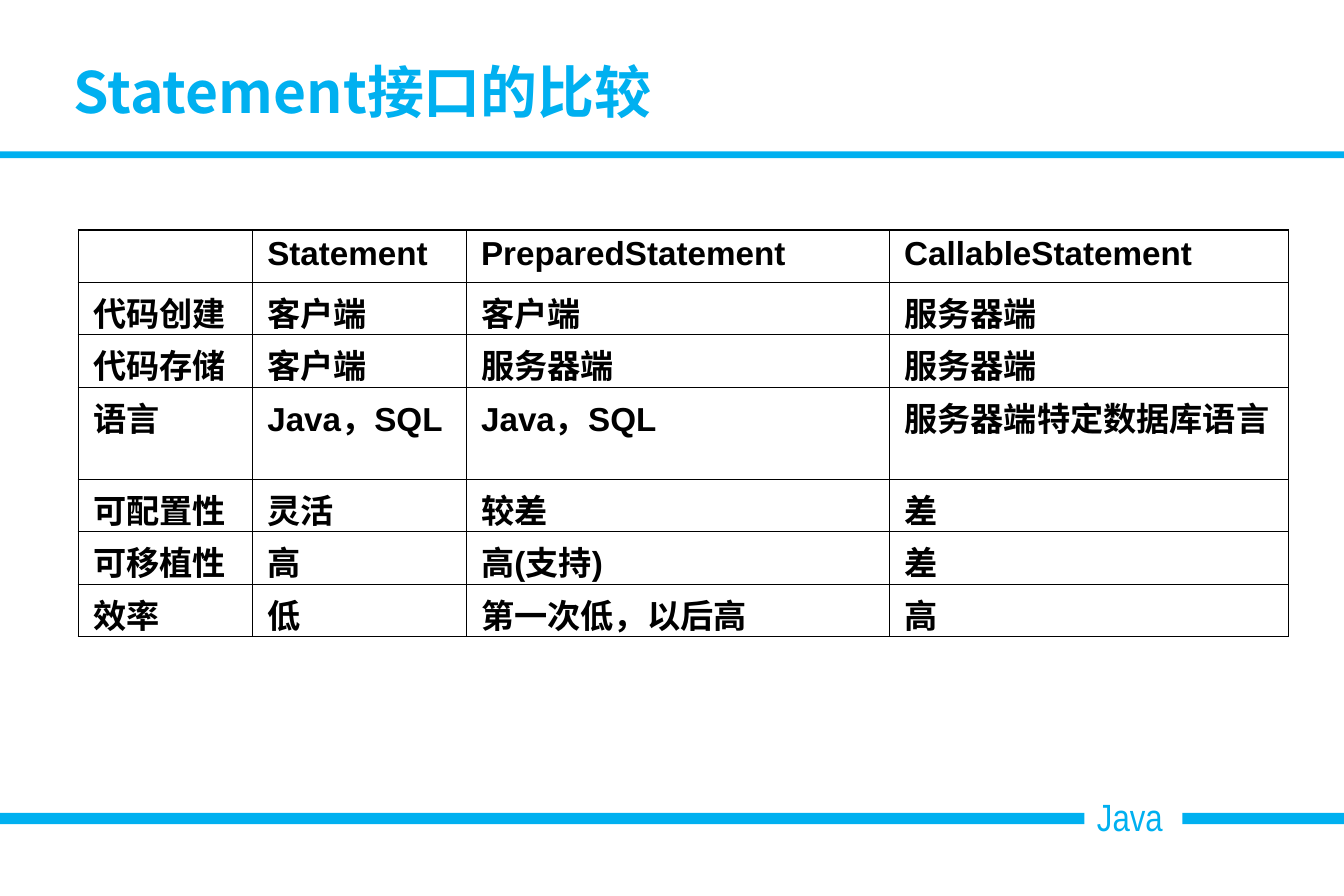
from dataclasses import dataclass

from lxml import etree
from pptx import Presentation
from pptx.dml.color import RGBColor
from pptx.enum.shapes import MSO_SHAPE
from pptx.enum.text import MSO_ANCHOR, MSO_AUTO_SIZE, PP_ALIGN
from pptx.oxml.ns import qn
from pptx.util import Inches, Pt

RECTANGLE = MSO_SHAPE.RECTANGLE
LEFT = PP_ALIGN.LEFT
TOP, MIDDLE = MSO_ANCHOR.TOP, MSO_ANCHOR.MIDDLE
GROW = MSO_AUTO_SIZE.SHAPE_TO_FIT_TEXT

SLIDE_WIDTH, SLIDE_HEIGHT = Inches(11.81), Inches(7.87)


@dataclass(frozen=True)
class Theme:
    accent: str = "00B0F0"
    paper: str = "FFFFFF"
    ink: str = "000000"
    cjk_font: str = "Noto Sans CJK SC"
    table_font: str = "Arial"
    footer_font: str = "Arial Narrow"
    title_size: float = 36
    table_size: float = 21
    footer_size: float = 24
    space_before: float = 5.2
    inner_border: float = 0.45
    outer_border: float = 1.08


THEME = Theme()

COMPARISON = [
    ["", "Statement", "PreparedStatement", "CallableStatement"],
    ["代码创建", "客户端", "客户端", "服务器端"],
    ["代码存储", "客户端", "服务器端", "服务器端"],
    ["语言", "Java，SQL", "Java，SQL", "服务器端特定数据库语言"],
    ["可配置性", "灵活", "较差", "差"],
    ["可移植性", "高", "高(支持)", "差"],
    ["效率", "低", "第一次低，以后高", "高"],
]
COLUMN_WEIGHTS = [1.53, 1.88, 3.72, 3.51]
ROW_WEIGHTS = [0.46, 0.46, 0.46, 0.81, 0.46, 0.46, 0.46]


def box(left, top, width, height):
    """Turn percentages of the slide into a box in EMU."""
    return (int(SLIDE_WIDTH * left / 100), int(SLIDE_HEIGHT * top / 100),
            int(SLIDE_WIDTH * width / 100), int(SLIDE_HEIGHT * height / 100))


def apply_format(target, values):
    for name, value in values.items():
        setattr(target, name, value)


def write(paragraph, text, font_name, size, color, bold=False):
    paragraph.alignment = LEFT
    run = paragraph.add_run()
    run.text = text
    apply_format(run.font, {"name": font_name, "size": Pt(size), "bold": bold})
    run.font.color.rgb = RGBColor.from_string(color)
    east_asian = etree.SubElement(run.font._element, qn("a:ea"))
    east_asian.set("typeface", THEME.cjk_font)


def set_frame(frame, anchor, wrap):
    apply_format(frame, {
        "margin_left": Inches(0.11), "margin_right": Inches(0.11),
        "margin_top": Inches(0.06), "margin_bottom": Inches(0.06),
        "vertical_anchor": anchor, "word_wrap": wrap,
    })


def add_band(slide, area, color):
    band = slide.shapes.add_shape(RECTANGLE, *area)
    band.shadow.inherit = False
    band.fill.solid()
    band.fill.fore_color.rgb = RGBColor.from_string(color)
    band.line.fill.background()
    return band


def add_footer(slide, bar_area, label_area):
    add_band(slide, bar_area, THEME.accent)
    label = add_band(slide, label_area, THEME.paper).text_frame
    set_frame(label, TOP, False)
    label.auto_size = GROW
    write(label.paragraphs[0], "Java", THEME.footer_font,
          THEME.footer_size, THEME.accent)


def add_header(slide, rule_area, title_area):
    add_band(slide, rule_area, THEME.accent)
    title = slide.shapes.add_textbox(*title_area).text_frame
    set_frame(title, MIDDLE, True)
    write(title.paragraphs[0], "Statement接口的比较", THEME.cjk_font,
          THEME.title_size, THEME.accent, bold=True)


def set_borders(cell, outer_sides):
    properties = cell._tc.get_or_add_tcPr()
    for side in "LRTB":
        width = THEME.outer_border if side in outer_sides else THEME.inner_border
        line = etree.SubElement(properties, qn(f"a:ln{side}"), w=str(Pt(width)))
        fill = etree.SubElement(line, qn("a:solidFill"))
        etree.SubElement(fill, qn("a:srgbClr"), val=THEME.ink)


def add_comparison(slide, area):
    row_count, column_count = len(COMPARISON), len(COLUMN_WEIGHTS)
    table = slide.shapes.add_table(row_count, column_count, *area).table
    apply_format(table, {"first_row": False, "horz_banding": False})
    for column, weight in zip(table.columns, COLUMN_WEIGHTS):
        column.width = int(area[2] * weight / sum(COLUMN_WEIGHTS))
    for row, weight in zip(table.rows, ROW_WEIGHTS):
        row.height = int(area[3] * weight / sum(ROW_WEIGHTS))

    for r, entries in enumerate(COMPARISON):
        for c, entry in enumerate(entries):
            cell = table.cell(r, c)
            edges = {"L": c == 0, "R": c == column_count - 1,
                     "T": r == 0, "B": r == row_count - 1}
            set_borders(cell, [side for side, outer in edges.items() if outer])
            cell.fill.background()
            apply_format(cell, {
                "margin_left": Inches(0.13), "margin_right": Inches(0.13),
                "margin_top": Inches(0.05), "margin_bottom": Inches(0.05),
                "vertical_anchor": TOP,
            })
            if entry:
                paragraph = cell.text_frame.paragraphs[0]
                paragraph.space_before = Pt(THEME.space_before)
                write(paragraph, entry, THEME.table_font,
                      THEME.table_size, THEME.ink, bold=True)


def main():
    deck = Presentation()
    apply_format(deck, {"slide_width": SLIDE_WIDTH, "slide_height": SLIDE_HEIGHT})
    slide = deck.slides.add_slide(deck.slide_layouts[6])

    # Footer bar with the course label
    add_footer(slide, box(0, 90.72, 100, 1.27), box(80.69, 87.8, 7.28, 6.48))
    # Title above its rule
    add_header(slide, box(0, 16.9, 100, 0.76), box(4.57, 6.23, 90, 7.88))
    # Comparison of the three interfaces
    add_comparison(slide, box(5.84, 25.67, 90.05, 45.36))

    deck.save("out.pptx")


if __name__ == "__main__":
    main()
